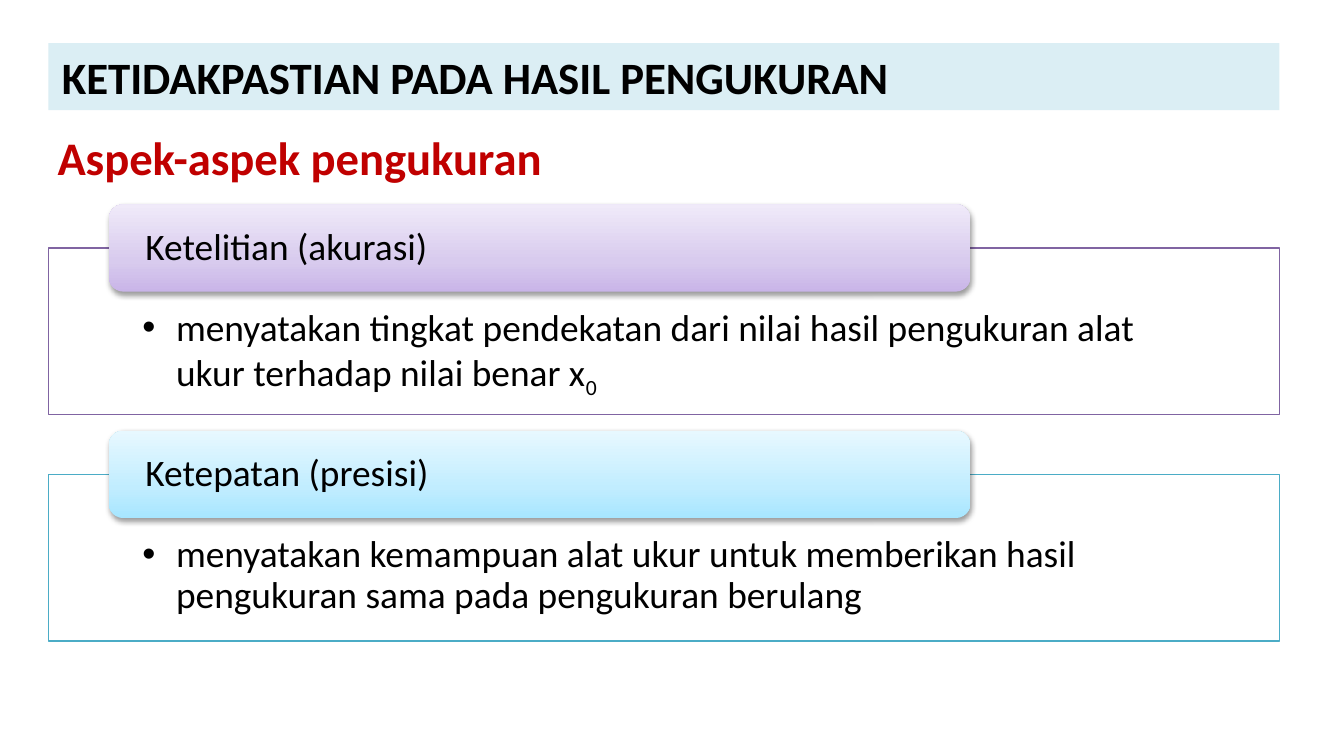
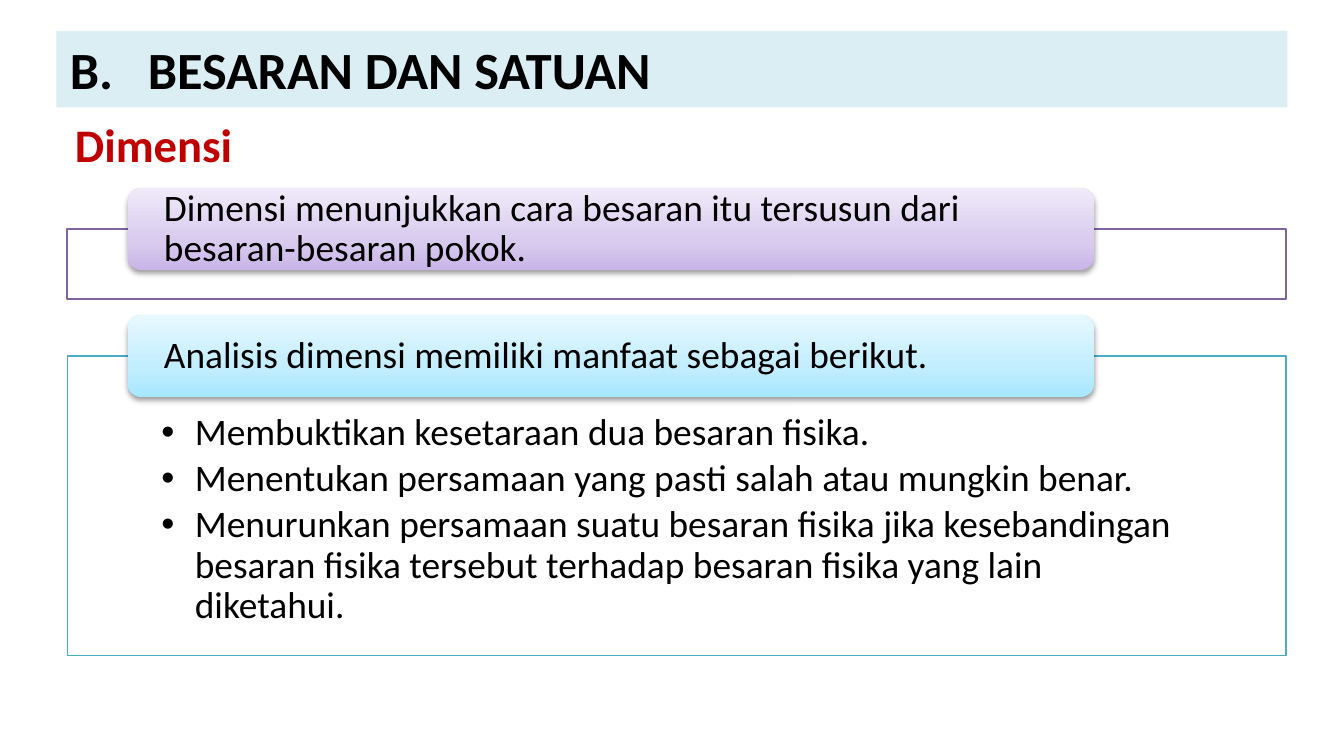
from copy import deepcopy

from lxml.etree import SubElement
from pptx import Presentation
from pptx.dml.color import RGBColor
from pptx.enum.shapes import MSO_SHAPE
from pptx.enum.text import MSO_ANCHOR, MSO_AUTO_SIZE, PP_ALIGN
from pptx.oxml.ns import qn
from pptx.util import Inches, Pt

FONT = "Calibri"
BLACK, WHITE, RED, BAND = "000000", "FFFFFF", "C00000", "DBEEF4"
PURPLE = {"line": "8064A2", "stops": [(0, "C9B5E8"), (0.35, "D8CBEE"), (1, "F0EAF9")]}
AQUA = {"line": "4BACC6", "stops": [(0, "A7E6FF"), (0.35, "C1EDFF"), (1, "E7F8FF")]}
ONE_LIST, TWO_LISTS = 1, 3
TAB_INDENT, SECTION_GAP = 0.45, 0.12

# An underscore in a list item starts its subscript.
SLIDES = [
    {
        "layout": TWO_LISTS,
        "title": "KETIDAKPASTIAN PADA HASIL PENGUKURAN",
        "title_size": 24,
        "band": (0.36, 0.32, 9.16, 0.5),
        "subtitle": "Aspek-aspek pengukuran",
        "subtitle_at": (0.33, 0.91),
        "stack": {"left": 0.36, "top": 1.52, "width": 9.16, "tab_width": 6.41, "tab_height": 0.65},
        "sections": [
            ("Ketelitian (akurasi)", PURPLE, 1.24,
             ["menyatakan tingkat pendekatan dari nilai hasil pengukuran alat ukur "
              "terhadap nilai benar x_0"]),
            ("Ketepatan (presisi)", AQUA, 1.24,
             ["menyatakan kemampuan alat ukur untuk memberikan hasil pengukuran sama "
              "pada pengukuran berulang"]),
        ],
    },
    {
        "layout": ONE_LIST,
        "title": "B.\tBESARAN DAN SATUAN",
        "title_size": 28,
        "band": (0.42, 0.23, 9.16, 0.57),
        "subtitle": "Dimensi",
        "subtitle_at": (0.46, 0.81),
        "stack": {"left": 0.5, "top": 1.4, "width": 9.07, "tab_width": 7.19, "tab_height": 0.61},
        "sections": [
            ("Dimensi menunjukkan cara besaran itu tersusun dari besaran-besaran pokok.",
             PURPLE, 0.52, []),
            ("Analisis dimensi memiliki manfaat sebagai berikut.", AQUA, 2.23,
             ["Membuktikan kesetaraan dua besaran fisika.",
              "Menentukan persamaan yang pasti salah atau mungkin benar.",
              "Menurunkan persamaan suatu besaran fisika jika kesebandingan besaran fisika "
              "tersebut terhadap besaran fisika yang lain diketahui."]),
        ],
    },
]


def rgb(color):
    return RGBColor.from_string(color)


def place(shape, left, top, width, height):
    shape.left, shape.top = Inches(left), Inches(top)
    shape.width, shape.height = Inches(width), Inches(height)


def format_text(shape, size, color=BLACK, bold=False, anchor=MSO_ANCHOR.MIDDLE,
                insets=(0.1, 0.05, 0.1, 0.05), line_spacing=0.9, space_after=0):
    frame = shape.text_frame
    frame.word_wrap = True
    frame.auto_size = MSO_AUTO_SIZE.NONE
    frame.vertical_anchor = anchor
    (frame.margin_left, frame.margin_top,
     frame.margin_right, frame.margin_bottom) = map(Inches, insets)
    for paragraph in frame.paragraphs:
        paragraph.alignment = PP_ALIGN.LEFT
        paragraph.line_spacing = line_spacing
        paragraph.space_before = Pt(0)
        paragraph.space_after = Pt(space_after)
        for run in paragraph.runs:
            run.font.name, run.font.size, run.font.bold = FONT, Pt(size), bold
            run.font.color.rgb = rgb(color)


def add_title(slide, text, size, band):
    title = slide.shapes.title
    place(title, *band)
    title.fill.solid()
    title.fill.fore_color.rgb = rgb(BAND)
    title.text_frame.text = text
    format_text(title, size, bold=True, anchor=MSO_ANCHOR.TOP, line_spacing=1.0)
    properties = title.text_frame.paragraphs[0]._p.get_or_add_pPr()
    tab_list = SubElement(properties, qn("a:tabLst"))
    SubElement(tab_list, qn("a:tab"), pos=str(Inches(0.58)), algn="l")


def add_subtitle(slide, text, left, top):
    subtitle = slide.shapes.add_textbox(Inches(left), Inches(top), Inches(7.04), Inches(0.57))
    subtitle.text_frame.text = text
    format_text(subtitle, 25, RED, bold=True)


def style_frame(frame, line_color):
    frame.fill.solid()
    frame.fill.fore_color.rgb = rgb(WHITE)
    white = frame._element.spPr.find(".//" + qn("a:srgbClr"))
    SubElement(white, qn("a:alpha"), val="90000")
    frame.line.color.rgb = rgb(line_color)
    frame.line.width = Pt(0.75)
    frame.shadow.inherit = False


def fill_list(body, items, top_inset):
    body.text_frame.text = "\n".join(item.partition("_")[0] for item in items)
    for paragraph, item in zip(body.text_frame.paragraphs, items):
        properties = paragraph._p.get_or_add_pPr()
        properties.set("marL", str(Inches(0.25)))
        properties.set("indent", str(-Inches(0.25)))
        subscript = item.partition("_")[2]
        if subscript:
            run = paragraph.add_run()
            run.text = subscript
            run._r.get_or_add_rPr().set("baseline", "-25000")
    format_text(body, 20, anchor=MSO_ANCHOR.TOP, space_after=3,
                insets=(0.7, top_inset, 0.7, 0.16))


def add_tab(slide, text, stops, box):
    """Add the rounded heading with its gradient and soft shadow."""
    tab = slide.shapes.add_shape(MSO_SHAPE.ROUNDED_RECTANGLE, *map(Inches, box))
    tab.fill.gradient()
    tab.fill.gradient_angle = 90
    properties = tab._element.spPr
    stop_list = properties.find(".//" + qn("a:gsLst"))
    stop_list.append(deepcopy(stop_list[0]))
    for stop, (position, color) in zip(tab.fill.gradient_stops, stops):
        stop.position = position
        stop.color.rgb = rgb(color)
    tab.line.fill.background()
    tab.shadow.inherit = False
    shadow = SubElement(properties.find(qn("a:effectLst")), qn("a:outerShdw"),
                        blurRad=str(Pt(3.1)), dist=str(Pt(1.6)), dir="5400000", rotWithShape="0")
    black = SubElement(shadow, qn("a:srgbClr"), val=BLACK)
    SubElement(black, qn("a:alpha"), val="38000")
    tab.text_frame.text = text
    format_text(tab, 20, insets=(0.24, 0, 0.24, 0))


def add_sections(slide, sections, left, top, width, tab_width, tab_height):
    """Stack framed sections, each with a heading astride its top edge."""
    bodies = iter([p for p in slide.placeholders if p.placeholder_format.idx > 0])
    for heading, palette, height, items in sections:
        frame_top = top + tab_height / 2
        if items:
            frame = next(bodies)
            fill_list(frame, items, 0.7 * tab_height)
        else:
            frame = slide.shapes.add_shape(MSO_SHAPE.RECTANGLE, 0, 0, 0, 0)
        place(frame, left, frame_top, width, height)
        style_frame(frame, palette["line"])
        add_tab(slide, heading, palette["stops"], (left + TAB_INDENT, top, tab_width, tab_height))
        top = frame_top + height + SECTION_GAP


def main():
    deck = Presentation()
    deck.slide_width = Inches(10)
    deck.slide_height = deck.slide_width * 9 // 16
    for content in SLIDES:
        slide = deck.slides.add_slide(deck.slide_layouts[content["layout"]])
        add_title(slide, content["title"], content["title_size"], content["band"])
        add_subtitle(slide, content["subtitle"], *content["subtitle_at"])
        add_sections(slide, content["sections"], **content["stack"])
    deck.save("out.pptx")


if __name__ == "__main__":
    main()
